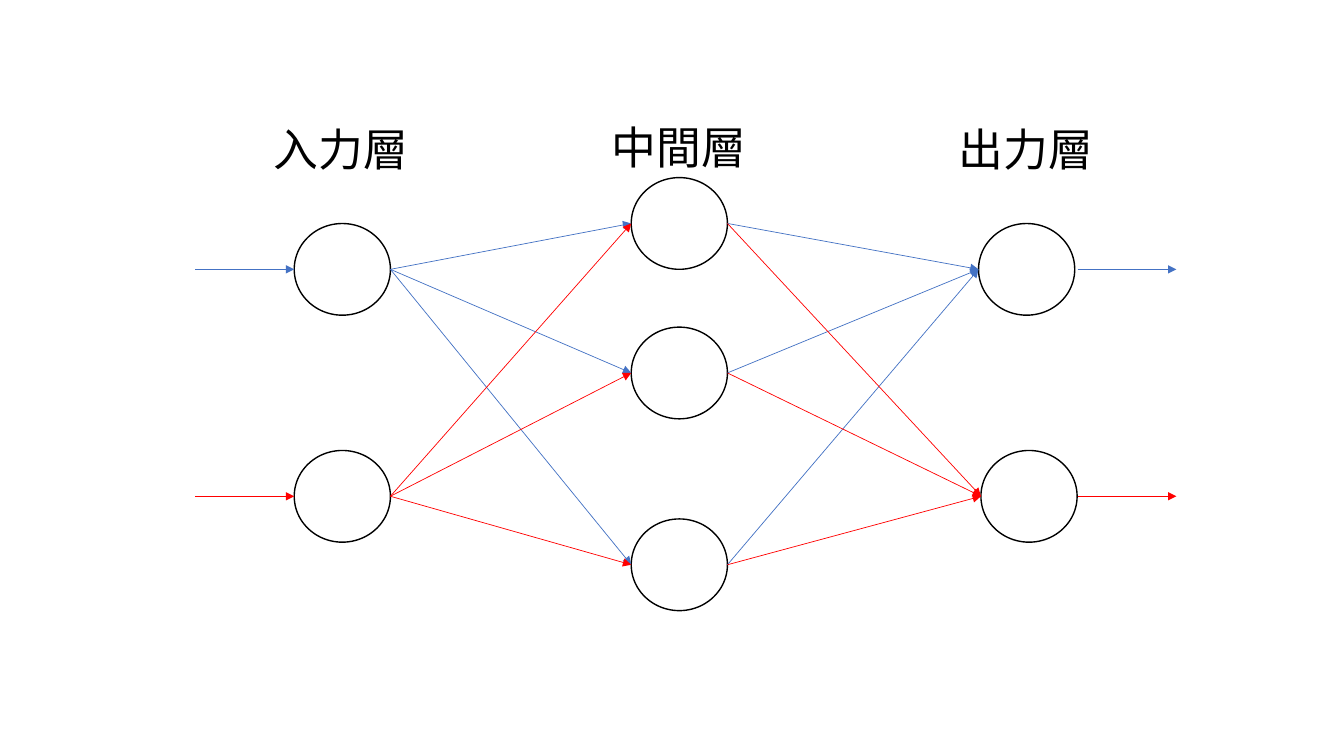
"""Draw a three-layer neural network with colour-coded signal paths."""
from dataclasses import dataclass
from itertools import product

from lxml import etree
from pptx import Presentation
from pptx.dml.color import RGBColor
from pptx.enum.shapes import MSO_CONNECTOR, MSO_SHAPE
from pptx.enum.text import MSO_AUTO_SIZE
from pptx.oxml.ns import qn
from pptx.slide import Slide
from pptx.util import Pt

BLACK = RGBColor(0x00, 0x00, 0x00)
WHITE = RGBColor(0xFF, 0xFF, 0xFF)
BLUE = RGBColor(0x44, 0x72, 0xC4)
RED = RGBColor(0xFF, 0x00, 0x00)
FONT = "Noto Sans CJK JP"
NODE_WIDTH, NODE_HEIGHT = 68.7, 65.5
LABEL_WIDTH, LABEL_HEIGHT = 111.6, 46
SIGNAL_LENGTH = 70.6
OUTPUT_SIGNAL_X = 769.7


@dataclass(frozen=True)
class Node:
    left: float
    middle: float
    color: RGBColor = BLACK

    @property
    def entry(self) -> tuple[float, float]:
        return self.left, self.middle

    @property
    def exit(self) -> tuple[float, float]:
        return self.left + NODE_WIDTH, self.middle


@dataclass(frozen=True)
class Layer:
    label: str
    label_left: float
    label_top: float
    nodes: tuple[Node, ...]


INPUT = Layer("入力層", 188.6, 83.5, (Node(210.2, 192.4, BLUE), Node(210.2, 354.5, RED)))
HIDDEN = Layer("中間層", 429.8, 82, (Node(450.9, 159.6), Node(450.9, 266.4), Node(450.9, 403.4)))
OUTPUT = Layer("出力層", 677.8, 83.5, (Node(699, 192.4, BLUE), Node(700.7, 354.5, RED)))


def draw_node(slide: Slide, node: Node) -> None:
    oval = slide.shapes.add_shape(
        MSO_SHAPE.OVAL, Pt(node.left), Pt(node.middle - NODE_HEIGHT / 2),
        Pt(NODE_WIDTH), Pt(NODE_HEIGHT))
    oval.shadow.inherit = False
    oval.fill.solid()
    oval.fill.fore_color.rgb = WHITE
    oval.line.color.rgb = BLACK
    oval.line.width = Pt(1)


def draw_label(slide: Slide, layer: Layer) -> None:
    box = slide.shapes.add_textbox(
        Pt(layer.label_left), Pt(layer.label_top), Pt(LABEL_WIDTH), Pt(LABEL_HEIGHT))
    frame = box.text_frame
    frame.word_wrap = False
    frame.auto_size = MSO_AUTO_SIZE.SHAPE_TO_FIT_TEXT
    run = frame.paragraphs[0].add_run()
    run.text = layer.label
    run.font.size = Pt(32)
    run.font.color.rgb = BLACK
    run.font.name = FONT
    etree.SubElement(run._r.get_or_add_rPr(), qn("a:ea"), typeface=FONT)


def draw_arrow(slide: Slide, start: tuple[float, float], end: tuple[float, float],
               color: RGBColor) -> None:
    arrow = slide.shapes.add_connector(
        MSO_CONNECTOR.STRAIGHT, *(Pt(value) for value in start + end))
    arrow.line.color.rgb = color
    arrow.line.width = Pt(0.5)
    etree.SubElement(arrow.line._get_or_add_ln(), qn("a:tailEnd"), type="triangle")
    etree.SubElement(arrow._element.spPr, qn("a:effectLst"))


def draw_signal(slide: Slide, left: float, node: Node) -> None:
    draw_arrow(slide, (left, node.middle), (left + SIGNAL_LENGTH, node.middle), node.color)


def main() -> None:
    presentation = Presentation()
    presentation.slide_width, presentation.slide_height = Pt(960), Pt(540)
    slide = presentation.slides.add_slide(presentation.slide_layouts[6])

    for layer in (INPUT, HIDDEN, OUTPUT):
        draw_label(slide, layer)
        for node in layer.nodes:
            draw_node(slide, node)

    for source, hidden in product(INPUT.nodes, HIDDEN.nodes):
        draw_arrow(slide, source.exit, hidden.entry, source.color)
    for target, hidden in product(OUTPUT.nodes, HIDDEN.nodes):
        draw_arrow(slide, hidden.exit, target.entry, target.color)

    for node in INPUT.nodes:
        draw_signal(slide, node.left - SIGNAL_LENGTH, node)
    for node in OUTPUT.nodes:
        draw_signal(slide, OUTPUT_SIGNAL_X, node)

    presentation.save("out.pptx")


main()
